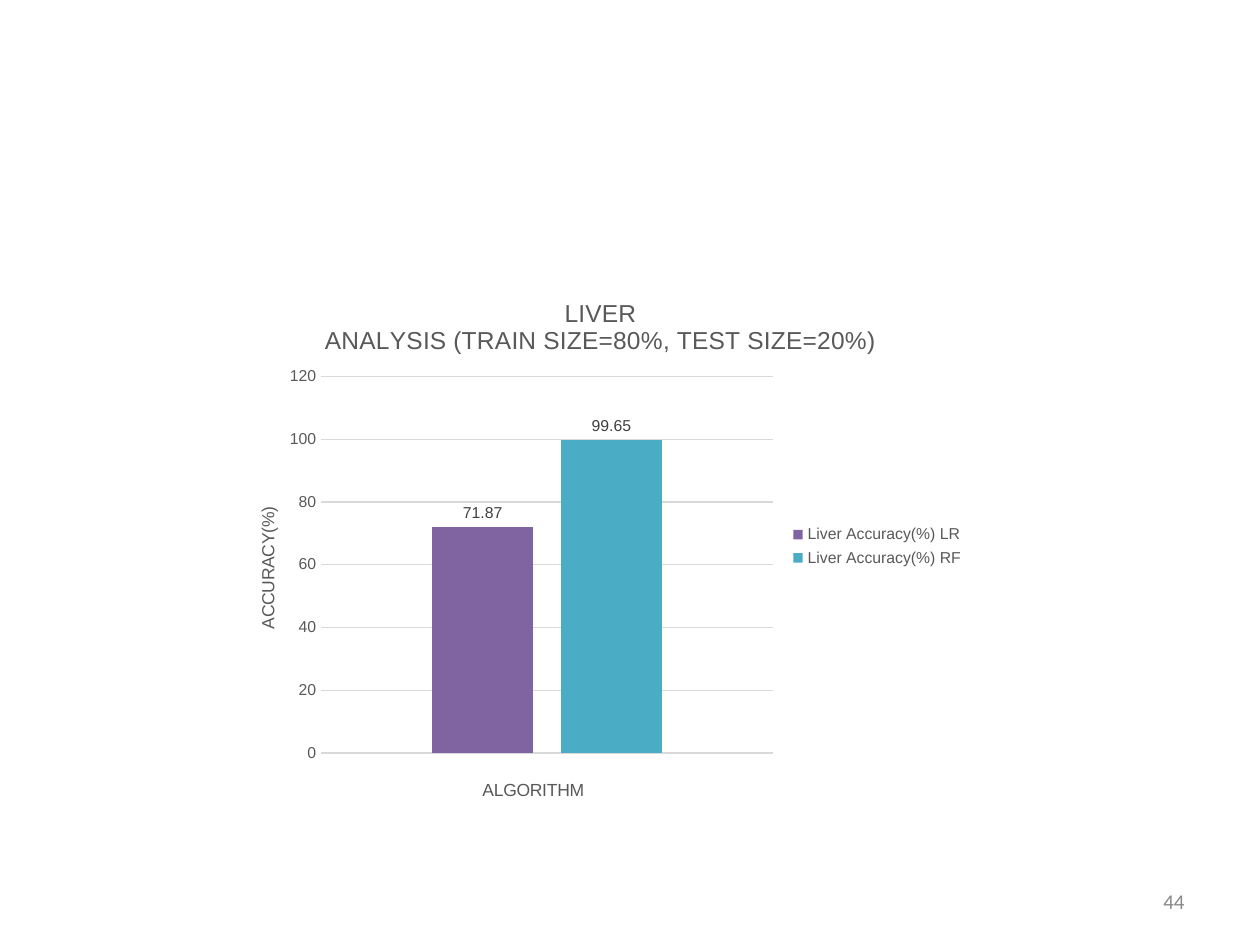
from dataclasses import dataclass

from lxml.etree import SubElement
from pptx import Presentation
from pptx.chart.data import CategoryChartData
from pptx.dml.color import RGBColor
from pptx.enum.chart import XL_CHART_TYPE as ChartType
from pptx.enum.chart import XL_LABEL_POSITION as LabelPosition
from pptx.enum.chart import XL_LEGEND_POSITION as LegendPosition
from pptx.enum.chart import XL_TICK_MARK as TickMark
from pptx.enum.text import MSO_ANCHOR as Anchor
from pptx.enum.text import PP_ALIGN as Align
from pptx.oxml import parse_xml
from pptx.oxml.ns import nsdecls, qn
from pptx.util import Pt


@dataclass(frozen=True)
class Theme:
    chart_font: str = "Arial"
    page_font: str = "Calibri"
    heading: str = "595959"
    label: str = "404040"
    grid: str = "D9D9D9"
    page: str = "888888"
    title_size: int = 14
    axis_title_size: int = 10
    small_size: int = 9
    page_size: int = 12


THEME = Theme()
ACCURACIES = [
    ("Liver Accuracy(%) LR", 71.87, "8064A2"),
    ("Liver Accuracy(%) RF", 99.65, "4BACC6"),
]


def set_all(target, values):
    for name, value in values.items():
        setattr(target, name, value)


def style_font(font, size, color, face=THEME.chart_font):
    set_all(font, {"size": Pt(size), "name": face, "bold": False})
    font.color.rgb = RGBColor.from_string(color)


def place_part(element, **fractions):
    """Give a chart part a manual layout in fractions of the chart area."""
    for old in element.findall(qn("c:layout")):
        element.remove(old)
    layout = parse_xml(f"<c:layout {nsdecls('c')}/>")
    manual = SubElement(layout, qn("c:manualLayout"))
    if "w" in fractions:
        SubElement(manual, qn("c:layoutTarget"), val="inner")
    for side in ("x", "y"):
        SubElement(manual, qn(f"c:{side}Mode"), val="edge")
    for side, fraction in fractions.items():
        SubElement(manual, qn(f"c:{side}"), val=str(fraction))
    leading = [child for child in element
               if child.tag in (qn("c:tx"), qn("c:legendPos"))]
    element.insert(len(leading), layout)


def write_title(title, lines, size, x, y):
    frame = title.text_frame
    frame.text = "\n".join(lines)
    for paragraph in frame.paragraphs:
        style_font(paragraph.runs[0].font, size, THEME.heading)
    place_part(title._element, x=x, y=y)


def style_axes(chart):
    category, value = chart.category_axis, chart.value_axis
    write_title(category.axis_title, ["ALGORITHM"], THEME.axis_title_size, 0.34, 0.91)
    category.visible = False
    write_title(value.axis_title, ["ACCURACY(%)"], THEME.axis_title_size, 0.04, 0.42)
    set_all(value, {
        "minimum_scale": 0, "maximum_scale": 120, "major_unit": 20,
        "major_tick_mark": TickMark.NONE, "minor_tick_mark": TickMark.NONE,
        "has_major_gridlines": True,
    })
    value.format.line.fill.background()
    style_font(value.tick_labels.font, THEME.small_size, THEME.heading)
    grid_line = value.major_gridlines.format.line
    grid_line.width = Pt(0.75)
    grid_line.color.rgb = RGBColor.from_string(THEME.grid)


def style_columns(plot):
    set_all(plot, {"gap_width": 219, "overlap": -27, "vary_by_categories": False})
    for series, (_, _, color) in zip(plot.series, ACCURACIES):
        series.format.fill.solid()
        series.format.fill.fore_color.rgb = RGBColor.from_string(color)
        labels = series.data_labels
        set_all(labels, {"show_value": True, "position": LabelPosition.OUTSIDE_END})
        style_font(labels.font, THEME.small_size, THEME.label)


def add_accuracy_chart(slide, left, top, width, height):
    data = CategoryChartData()
    data.categories = ["1"]
    for name, accuracy, _ in ACCURACIES:
        data.add_series(name, [accuracy])
    chart = slide.shapes.add_chart(
        ChartType.COLUMN_CLUSTERED, Pt(left), Pt(top), Pt(width), Pt(height), data
    ).chart
    set_all(chart.font, {"name": THEME.chart_font, "size": Pt(THEME.axis_title_size)})
    write_title(chart.chart_title,
                ["LIVER", "ANALYSIS (TRAIN SIZE=80%, TEST SIZE=20%)"],
                THEME.title_size, 0.13, 0.04)
    style_axes(chart)
    plot = chart.plots[0]
    style_columns(plot)
    place_part(plot._element.getparent(), x=0.13, y=0.19, w=0.6, h=0.68)
    chart.has_legend = True
    legend = chart.legend
    set_all(legend, {"position": LegendPosition.RIGHT, "include_in_layout": False})
    style_font(legend.font, THEME.small_size, THEME.heading)
    place_part(legend._element, x=0.75, y=0.45)


def add_page_number(slide, number, left, top, width, height):
    frame = slide.shapes.add_textbox(
        Pt(left), Pt(top), Pt(width), Pt(height)).text_frame
    set_all(frame, {"word_wrap": True, "vertical_anchor": Anchor.MIDDLE})
    paragraph = frame.paragraphs[0]
    set_all(paragraph, {"text": str(number), "alignment": Align.RIGHT})
    style_font(paragraph.runs[0].font, THEME.page_size, THEME.page, THEME.page_font)


def main():
    deck = Presentation()
    set_all(deck, {"slide_width": Pt(720), "slide_height": Pt(540)})
    slide = deck.slides.add_slide(deck.slide_layouts[6])
    add_page_number(slide, 44, 516, 500.5, 168, 28.75)
    add_accuracy_chart(slide, 127.5, 155, 430.5, 316.5)
    deck.save("out.pptx")


if __name__ == "__main__":
    main()
